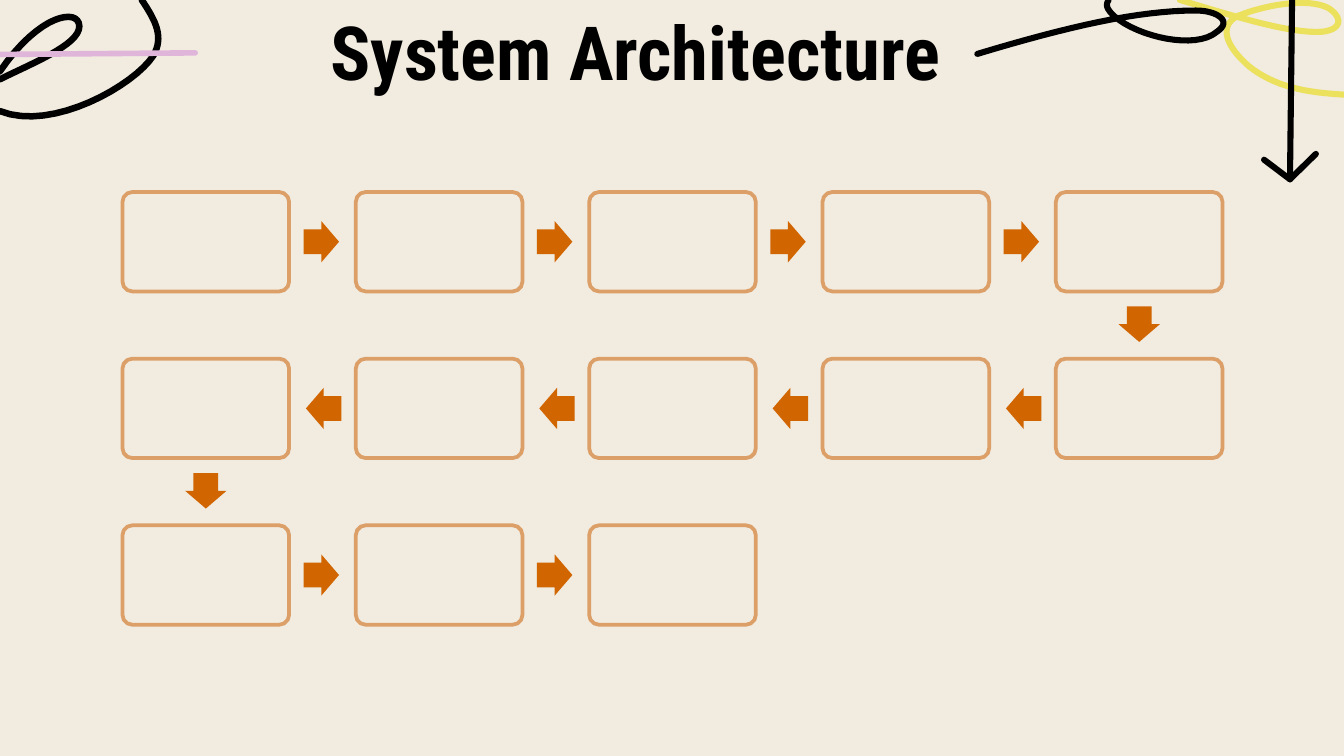
from pptx import Presentation
from pptx.dml.color import RGBColor
from pptx.enum.shapes import MSO_SHAPE
from pptx.enum.text import MSO_ANCHOR, PP_ALIGN
from pptx.oxml.ns import qn
from pptx.util import Cm, Pt

ROUNDED_BOX = MSO_SHAPE.ROUNDED_RECTANGLE
RIGHT_ARROW = MSO_SHAPE.RIGHT_ARROW
MIDDLE = MSO_ANCHOR.MIDDLE
CENTER = PP_ALIGN.CENTER

COLORS = {
    "cream": "F1EBE0",
    "black": "000000",
    "yellow": "ECE15C",
    "lilac": "DFB6DA",
    "tan": "DB9F67",
    "orange": "D16500",
}

STEP_COUNT, COLUMNS = 13, 5
FIRST_X, FIRST_Y = 3.89, 4.57
PITCH_X, PITCH_Y = 4.41, 3.15
BOX_WIDTH, BOX_HEIGHT = 3.15, 1.88
ARROW_LENGTH, ARROW_HEIGHT = 0.67, 0.78
ARROW_SHARE = 0.495

STRAIGHT_STROKES = [
    ("lilac", 3, [(0, 1.03), (3.69, 1)]),
    ("black", 3.25, [(24.42, 0), (24.38, 3.39)]),
    ("black", 3.25, [(23.89, 3.02), (24.38, 3.39), (24.87, 2.91)]),
]

CURVED_STROKES = [
    ("yellow", 3.25, (22.3, 0), [
        ((23.3, 0.3), (24.4, 0.65), (25, 0.6)),
        ((25.4, 0.55), (25.35, 0.3), (25.1, 0.15)),
        ((24.7, -0.05), (23.9, 0.1), (23.4, 0.3)),
        ((23, 0.5), (23.2, 0.9), (23.6, 1.25)),
        ((24.1, 1.65), (24.7, 1.75), (25.4, 1.79)),
    ]),
    ("black", 3.25, (18.47, 1.02), [
        ((20.2, 0.5), (21.5, 0.2), (22.6, 0.2)),
        ((23, 0.2), (23.3, 0.4), (23, 0.6)),
        ((22.6, 0.95), (21.5, 0.7), (21.05, 0.3)),
        ((20.9, 0.15), (20.9, 0.1), (20.95, 0)),
    ]),
    ("black", 3.5, (0, 1.5), [
        ((0.6, 1.2), (1.5, 0.85), (1.5, 0.5)),
        ((1.5, 0.15), (0.75, 0.25), (0, 1.35)),
    ]),
    ("black", 3.5, (2.68, 0), [
        ((2.95, 0.4), (3.1, 0.7), (2.9, 1.05)),
        ((2.55, 1.6), (1, 2.5), (0, 2.1)),
    ]),
]


def curve_points(start, segments, samples=16):
    points = [start]
    for first, second, end in segments:
        corners = (points[-1], first, second, end)
        for index in range(1, samples + 1):
            t = index / samples
            weights = ((1 - t) ** 3, 3 * t * (1 - t) ** 2,
                       3 * t ** 2 * (1 - t), t ** 3)
            points.append(tuple(
                sum(weight * corner[axis]
                    for weight, corner in zip(weights, corners))
                for axis in (0, 1)))
    return points


class SlidePainter:
    font = "Roboto Condensed"

    def __init__(self, slide):
        self.slide = slide

    def color(self, name):
        return RGBColor.from_string(COLORS[name])

    def background(self, name):
        fill = self.slide.background.fill
        fill.solid()
        fill.fore_color.rgb = self.color(name)

    def title(self, text, left, top, width, height):
        shape = self.slide.shapes.add_textbox(
            Cm(left), Cm(top), Cm(width), Cm(height))
        frame = shape.text_frame
        frame.word_wrap = True
        frame.vertical_anchor = MIDDLE
        paragraph = frame.paragraphs[0]
        paragraph.text = text
        paragraph.alignment = CENTER
        paragraph.font.name = self.font
        paragraph.font.size = Pt(40)
        paragraph.font.bold = True
        paragraph.font.color.rgb = self.color("black")

    def stroke(self, color, width, points):
        corners = [(Cm(x), Cm(y)) for x, y in points]
        builder = self.slide.shapes.build_freeform(*corners[0])
        builder.add_line_segments(corners[1:], close=False)
        shape = builder.convert_to_shape()
        shape.shadow.inherit = False
        shape.fill.background()
        shape.line.color.rgb = self.color(color)
        shape.line.width = Pt(width)
        shape.element.spPr.find(qn("a:ln")).set("cap", "rnd")

    def centered(self, kind, x, y, width, height, fill):
        shape = self.slide.shapes.add_shape(
            kind, Cm(x - width / 2), Cm(y - height / 2), Cm(width), Cm(height))
        shape.shadow.inherit = False
        shape.fill.solid()
        shape.fill.fore_color.rgb = self.color(fill)
        return shape

    def box(self, x, y):
        shape = self.centered(ROUNDED_BOX, x, y, BOX_WIDTH, BOX_HEIGHT, "cream")
        shape.adjustments[0] = 0.1
        shape.line.color.rgb = self.color("tan")
        shape.line.width = Pt(2)

    def arrow(self, x, y, rotation):
        shape = self.centered(
            RIGHT_ARROW, x, y, ARROW_LENGTH, ARROW_HEIGHT, "orange")
        shape.adjustments[0] = 0.6
        shape.adjustments[1] = 0.5
        shape.line.fill.background()
        shape.rotation = rotation


def step_center(step):
    row, position = divmod(step, COLUMNS)
    column = position if row % 2 == 0 else COLUMNS - 1 - position
    return FIRST_X + column * PITCH_X, FIRST_Y + row * PITCH_Y


def draw_flow(painter):
    for step in range(STEP_COUNT):
        x, y = step_center(step)
        painter.box(x, y)
        if step < STEP_COUNT - 1:
            next_x, next_y = step_center(step + 1)
            rotation = 90 if next_y > y else 0 if next_x > x else 180
            painter.arrow(x + (next_x - x) * ARROW_SHARE,
                          y + (next_y - y) * ARROW_SHARE, rotation)


def main():
    presentation = Presentation()
    presentation.slide_width = Cm(25.4)
    presentation.slide_height = Cm(14.29)
    slide = presentation.slides.add_slide(presentation.slide_layouts[6])
    painter = SlidePainter(slide)
    painter.background("cream")
    for color, width, start, segments in CURVED_STROKES:
        painter.stroke(color, width, curve_points(start, segments))
    for color, width, points in STRAIGHT_STROKES:
        painter.stroke(color, width, points)
    painter.title("System Architecture", 1.3, 0.3, 21.41, 1.32)
    draw_flow(painter)
    presentation.save("out.pptx")


if __name__ == "__main__":
    main()
